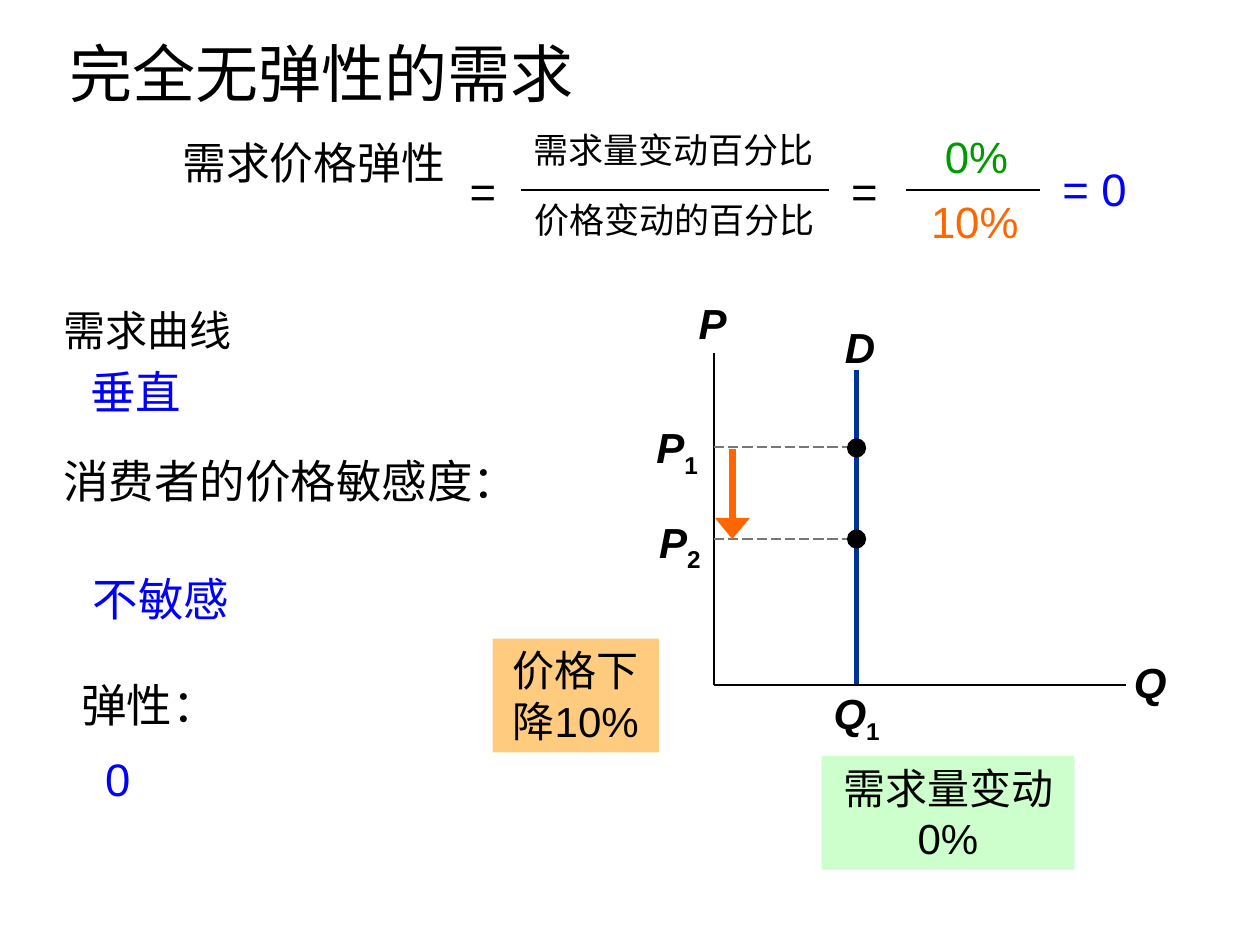
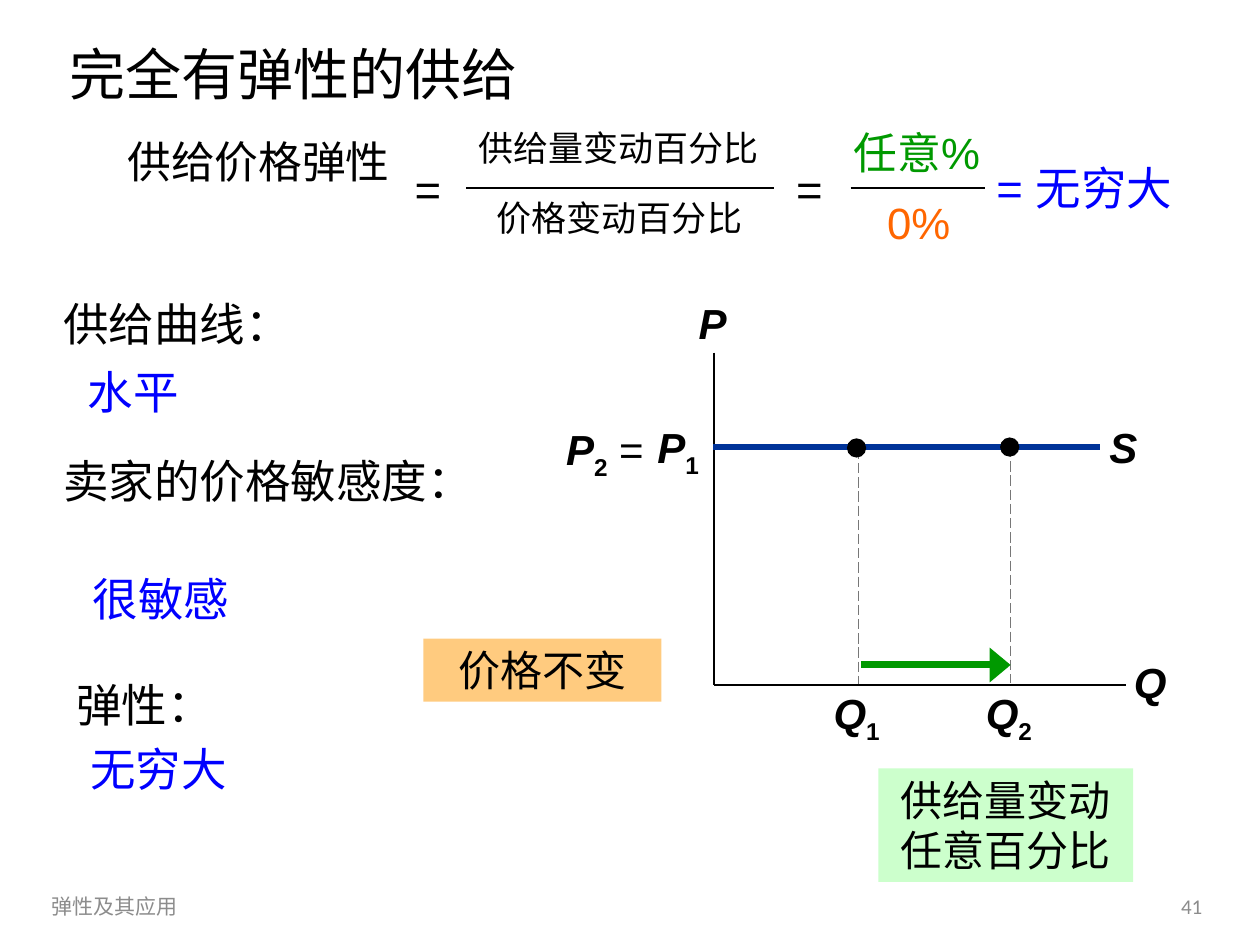
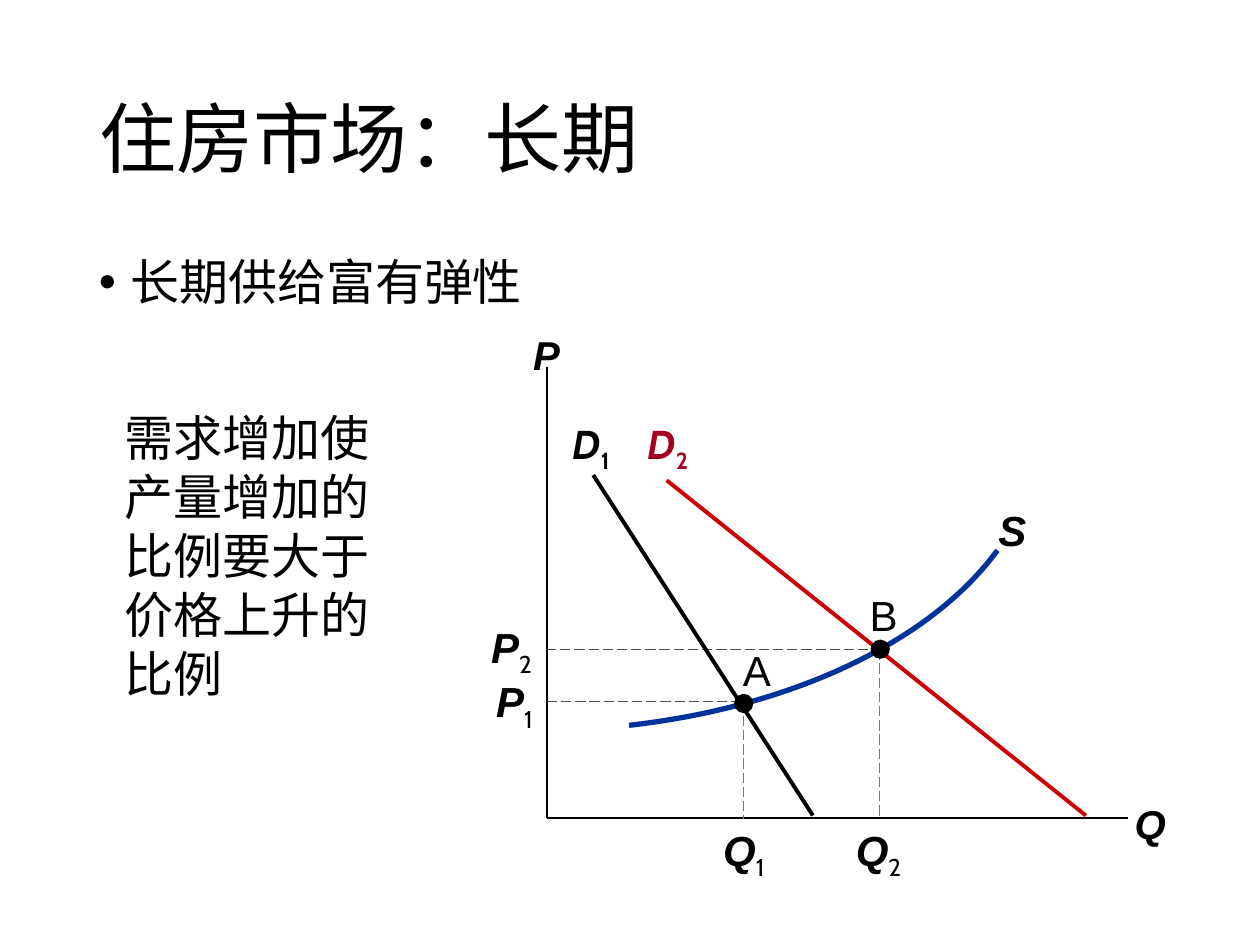
import pptx
import pptx.dml.color
import pptx.enum.dml
import pptx.enum.shapes
import pptx.enum.text
import pptx.oxml.ns
import pptx.util
import lxml.etree

Pt = pptx.util.Pt
LEFT, CENTER, RIGHT = (getattr(pptx.enum.text.PP_ALIGN, name) for name in ("LEFT", "CENTER", "RIGHT"))
MIDDLE = pptx.enum.text.MSO_ANCHOR.MIDDLE


class Theme:
    black, blue, navy = "000000", "0000FF", "003399"
    green, orange, red, crimson = "009900", "FF6600", "CC0000", "A50021"
    grey, dark_grey, footer_grey = "777777", "4D4D4D", "8C8C8C"
    price_box, quantity_box = "FF9900", "CCFFCC"
    footer, fraction, curve, label = 12, 20, 23, 24
    value, text, body = 25, 26, 28
    thin, axis, demand, bold, arrow = 0.75, 1, 2.25, 3, 4
    dot = 11
    # run style: font, bold, italic, baseline
    runs = {
        "plain": ("Arial", False, False, 0),
        "body": ("Calibri", False, False, 0),
        "symbol": ("Arial", True, True, 0),
        "index": ("Arial", True, False, -25000),
        "light index": ("Cabin", False, False, -25000),
        "curve": ("Cabin", True, True, 0),
        "curve index": ("Cabin", True, False, -25000),
    }


def place_text(shape, box, runs, size, color=Theme.black, align=CENTER, spacing=1.0, anchor=None):
    shape.left, shape.top, shape.width, shape.height = (Pt(length) for length in box)
    frame = shape.text_frame
    frame.word_wrap = True
    frame.auto_size = pptx.enum.text.MSO_AUTO_SIZE.NONE
    frame.vertical_anchor = anchor or pptx.enum.text.MSO_ANCHOR.TOP
    paragraph = frame.paragraphs[0]
    paragraph.alignment = align
    paragraph.line_spacing = spacing
    paragraph.space_before = Pt(0)
    for text, style in runs:
        run = paragraph.add_run()
        run.text = text
        font = run.font
        font.name, font.bold, font.italic, baseline = Theme.runs[style]
        font.size = Pt(size)
        font.color.rgb = pptx.dml.color.RGBColor.from_string(color)
        if baseline:
            run._r.get_or_add_rPr().set("baseline", str(baseline))
    return shape


def add_line(slide, start, end, color, width, ending=None):
    line = slide.shapes.add_connector(
        pptx.enum.shapes.MSO_CONNECTOR.STRAIGHT, *(Pt(length) for length in (*start, *end)))
    line.line.color.rgb = pptx.dml.color.RGBColor.from_string(color)
    line.line.width = Pt(width)
    if ending == "dash":
        line.line.dash_style = pptx.enum.dml.MSO_LINE.LONG_DASH
    properties = line._element.spPr
    if ending == "arrow":
        outline = properties.find(pptx.oxml.ns.qn("a:ln"))
        lxml.etree.SubElement(outline, pptx.oxml.ns.qn("a:tailEnd"), type="triangle", w="lg")
    lxml.etree.SubElement(properties, pptx.oxml.ns.qn("a:effectLst"))


presentation = pptx.Presentation()
presentation.slide_width, presentation.slide_height = Pt(720), Pt(540)

# Slides and titles
slides = []
for title, box, size in (
    ("完全无弹性的需求", (32.5, 19.5, 669, 49), 36),
    ("完全有弹性的供给", (32.5, 19.5, 687.5, 49), 32),
    ("住房市场：长期", (49.5, 29, 620.5, 104.5), 44),
):
    slide = presentation.slides.add_slide(presentation.slide_layouts[5])
    place_text(slide.shapes.title, box, [(title, "body")], size, align=LEFT, spacing=0.9, anchor=MIDDLE)
    slides.append(slide)
demand_slide, supply_slide, housing_slide = slides

# Elasticity formula: the left part is the same, shifted on the supply slide
for slide, dx, dy, name, numerator, denominator in (
    (demand_slide, 0, 0, "需求价格弹性", "需求量变动百分比", "价格变动的百分比"),
    (supply_slide, -31.5, -1, "供给价格弹性", "供给量变动百分比", "价格变动百分比"),
):
    for text, (left, top, width, height), size, spacing in (
        (name, (89.5, 76.5, 179.5, 36), Theme.value, 0.95),
        ("=", (258, 89.5, 36, 38), Theme.text, 1.0),
        (numerator, (291, 70, 188, 31), Theme.fraction, 1.0),
        (denominator, (291.5, 110, 188, 31), Theme.fraction, 1.0),
        ("=", (476, 89.5, 36, 38), Theme.text, 1.0),
    ):
        place_text(slide.shapes.add_textbox(0, 0, 0, 0), (left + dx, top + dy, width, height),
                   [(text, "plain")], size, spacing=spacing)
    for start, end in ((298, 474), (517.5, 594.5)):
        add_line(slide, (start + dx, 108.5 + dy), (end + dx, 108.5 + dy), Theme.black, Theme.axis)

# Formula values
for slide, text, box, size, color in (
    (demand_slide, "0%", (512, 70.5, 92, 37.5), Theme.value, Theme.green),
    (demand_slide, "10%", (511, 107.5, 92, 37.5), Theme.value, Theme.orange),
    (demand_slide, "= 0", (598.5, 88.5, 54, 38), Theme.text, Theme.blue),
    (supply_slide, "任意%", (474, 68.5, 100, 37.5), Theme.value, Theme.green),
    (supply_slide, "0%", (479, 108.5, 92, 37.5), Theme.value, Theme.orange),
    (supply_slide, "= 无穷大", (561.5, 88, 116.5, 38), Theme.text, Theme.blue),
):
    place_text(slide.shapes.add_textbox(0, 0, 0, 0), box, [(text, "plain")], size, color)

# Questions in black, answers in blue
for slide, text, box, size, color in (
    (demand_slide, "需求曲线", (29, 169, 117.5, 42), Theme.label, Theme.black),
    (demand_slide, "垂直", (44.5, 203, 228, 42), Theme.text, Theme.blue),
    (demand_slide, "消费者的价格敏感度：", (29, 253.5, 267, 76), Theme.text, Theme.black),
    (demand_slide, "不敏感", (46, 321, 206.5, 39), Theme.text, Theme.blue),
    (demand_slide, "弹性：", (39.5, 381.5, 127.5, 42.5), Theme.text, Theme.black),
    (demand_slide, "0", (53, 424, 145, 42.5), Theme.text, Theme.blue),
    (supply_slide, "供给曲线：", (29, 164, 174, 46), Theme.text, Theme.black),
    (supply_slide, "水平", (43, 203, 228, 42), Theme.text, Theme.blue),
    (supply_slide, "卖家的价格敏感度：", (29, 253.5, 267, 76), Theme.text, Theme.black),
    (supply_slide, "很敏感", (46, 321, 206.5, 39), Theme.text, Theme.blue),
    (supply_slide, "弹性：", (36.5, 381.5, 127.5, 42.5), Theme.text, Theme.black),
    (supply_slide, "无穷大", (44.5, 418.5, 144, 42.5), Theme.text, Theme.blue),
):
    place_text(slide.shapes.add_textbox(0, 0, 0, 0), box, [(text, "plain")], size, color, LEFT, 1.05)

# Price and quantity boxes
for slide, text, box, color, opacity in (
    (demand_slide, "价格下降10%", (281.5, 365, 95, 65), Theme.price_box, 50000),
    (demand_slide, "需求量变动0%", (469.5, 432, 144.5, 65), Theme.quantity_box, 100000),
    (supply_slide, "价格不变", (242, 365, 136, 36), Theme.price_box, 50000),
    (supply_slide, "供给量变动任意百分比", (502, 439, 145.5, 65), Theme.quantity_box, 100000),
):
    shape = place_text(slide.shapes.add_textbox(0, 0, 0, 0), box, [(text, "plain")], Theme.label)
    shape.fill.solid()
    shape.fill.fore_color.rgb = pptx.dml.color.RGBColor.from_string(color)
    if opacity < 100000:
        fill_color = shape._element.spPr.find(".//" + pptx.oxml.ns.qn("a:srgbClr"))
        lxml.etree.SubElement(fill_color, pptx.oxml.ns.qn("a:alpha"), val=str(opacity))

# Supply slide footer
for text, box, align in (
    ("弹性及其应用", (22.5, 503.5, 577.5, 28.5), LEFT),
    ("41", (654, 503.5, 54, 28.5), CENTER),
):
    place_text(supply_slide.shapes.add_textbox(0, 0, 0, 0), box, [(text, "body")],
               Theme.footer, Theme.footer_grey, align, anchor=MIDDLE)

# Housing slide text
bullet = place_text(housing_slide.shapes.add_textbox(0, 0, 0, 0), (49.5, 144, 620.5, 343),
                    [("长期供给富有弹性", "body")], Theme.body, align=LEFT, spacing=0.9)
bullet_properties = bullet.text_frame.paragraphs[0]._p.get_or_add_pPr()
bullet_properties.set("marL", str(Pt(18)))
bullet_properties.set("indent", str(-Pt(18)))
lxml.etree.SubElement(bullet_properties, pptx.oxml.ns.qn("a:buFont"), typeface="Arial")
lxml.etree.SubElement(bullet_properties, pptx.oxml.ns.qn("a:buChar"), char="•")
place_text(housing_slide.shapes.add_textbox(0, 0, 0, 0), (64, 229.5, 156, 177),
           [("需求增加使产量增加的比例要大于价格上升的比例", "body")], Theme.body, align=LEFT)

# Axes
for slide, (x, y), top, right, width in (
    (demand_slide, (408, 391.5), 201.5, 643.5, Theme.axis),
    (supply_slide, (408, 391.5), 201.5, 643.5, Theme.axis),
    (housing_slide, (312.5, 467.5), 209.5, 644.5, Theme.thin),
):
    add_line(slide, (x, top), (x, y), Theme.black, width)
    add_line(slide, (x, y), (right, y), Theme.black, width)

# Guides
for slide, start, end, color in (
    (demand_slide, (490.5, 256.5), (490.5, 391), Theme.grey),
    (demand_slide, (408, 255.5), (491, 255.5), Theme.grey),
    (demand_slide, (408, 308), (489, 308), Theme.grey),
    (supply_slide, (490.5, 256.5), (490.5, 391), Theme.grey),
    (supply_slide, (577.5, 255.5), (577.5, 390.5), Theme.grey),
    (housing_slide, (312.5, 401), (425, 401), Theme.dark_grey),
    (housing_slide, (425, 401), (425, 468), Theme.grey),
    (housing_slide, (312, 371), (502.5, 371), Theme.dark_grey),
    (housing_slide, (502.5, 371), (502.5, 467.5), Theme.grey),
):
    add_line(slide, start, end, color, Theme.thin, "dash")

# Straight curves and arrows of change
for slide, start, end, color, width, ending in (
    (demand_slide, (489.5, 211.5), (489.5, 391), Theme.navy, Theme.bold, None),
    (demand_slide, (418.5, 256.5), (418.5, 308), Theme.orange, Theme.arrow, "arrow"),
    (supply_slide, (407.5, 255.5), (628.5, 255.5), Theme.navy, Theme.bold, None),
    (supply_slide, (492, 380), (577.5, 380), Theme.green, Theme.arrow, "arrow"),
    (housing_slide, (339, 271.5), (464.5, 466), Theme.black, Theme.demand, None),
    (housing_slide, (381, 274.5), (620.5, 466), Theme.red, Theme.demand, None),
):
    add_line(slide, start, end, color, width, ending)

# Long-run supply curve: points along a cubic curve
controls = ((359.5, 414.5), (453, 404), (532, 366.5), (570, 314.5))
steps = 40
curve_points = []
for step in range(steps + 1):
    t = step / steps
    weights = ((1 - t) ** 3, 3 * t * (1 - t) ** 2, 3 * t ** 2 * (1 - t), t ** 3)
    curve_points.append(tuple(
        Pt(sum(weight * control[axis] for weight, control in zip(weights, controls)))
        for axis in (0, 1)))
builder = housing_slide.shapes.build_freeform(*curve_points[0])
builder.add_line_segments(curve_points[1:], close=False)
supply_curve = builder.convert_to_shape()
supply_curve.shadow.inherit = False
supply_curve.fill.background()
supply_curve.line.color.rgb = pptx.dml.color.RGBColor.from_string(Theme.navy)
supply_curve.line.width = Pt(Theme.bold)

# Equilibrium dots
for slide, x, y in (
    (demand_slide, 489.5, 256), (demand_slide, 489.5, 308),
    (supply_slide, 489.5, 256), (supply_slide, 577, 255.5),
    (housing_slide, 425, 402), (housing_slide, 503, 371),
):
    dot = slide.shapes.add_shape(
        pptx.enum.shapes.MSO_SHAPE.OVAL, Pt(x - Theme.dot / 2), Pt(y - Theme.dot / 2),
        Pt(Theme.dot), Pt(Theme.dot))
    dot.shadow.inherit = False
    dot.fill.solid()
    dot.fill.fore_color.rgb = pptx.dml.color.RGBColor.from_string(Theme.black)
    dot.line.fill.background()

# Diagram labels
p, q, s = (("P", "symbol"), ("Q", "symbol"), ("S", "symbol"))
one, two = ("1", "index"), ("2", "index")
light_one, light_two = ("1", "light index"), ("2", "light index")
for slide, runs, box, size, color, align in (
    (demand_slide, [p], (380, 166.5, 54.5, 36), Theme.label, Theme.black, CENTER),
    (demand_slide, [q], (630, 371.5, 54.5, 36), Theme.label, Theme.black, CENTER),
    (demand_slide, [("D", "symbol")], (467.5, 180, 48, 36), Theme.label, Theme.black, CENTER),
    (demand_slide, [q, one], (466.5, 389.5, 46, 36), Theme.label, Theme.black, CENTER),
    (demand_slide, [p, one], (359.5, 237.5, 46.5, 36), Theme.label, Theme.black, RIGHT),
    (demand_slide, [p, two], (359.5, 291.5, 48, 36), Theme.label, Theme.black, RIGHT),
    (supply_slide, [p], (380, 166.5, 54.5, 36), Theme.label, Theme.black, CENTER),
    (supply_slide, [q], (630, 371.5, 54.5, 36), Theme.label, Theme.black, CENTER),
    (supply_slide, [s], (618.5, 237.5, 47, 36), Theme.label, Theme.black, CENTER),
    (supply_slide, [q, one], (466.5, 389.5, 46, 36), Theme.label, Theme.black, CENTER),
    (supply_slide, [q, two], (553.5, 389.5, 46, 36), Theme.label, Theme.black, CENTER),
    (supply_slide, [p, one], (355.5, 237.5, 51, 36), Theme.label, Theme.black, RIGHT),
    (supply_slide, [p, two, (" =", "plain")], (311, 238.5, 64, 36), Theme.label, Theme.black, RIGHT),
    (housing_slide, [p], (296, 185, 32.5, 34.5), Theme.curve, Theme.black, CENTER),
    (housing_slide, [q], (641, 453, 32.5, 34.5), Theme.curve, Theme.black, CENTER),
    (housing_slide, [("D", "curve"), ("1", "curve index")], (314, 236, 47.5, 34.5),
     Theme.curve, Theme.black, CENTER),
    (housing_slide, [("D", "curve"), ("2", "curve index")], (358, 236, 47.5, 34.5),
     Theme.curve, Theme.crimson, CENTER),
    (housing_slide, [s], (554.5, 285, 48, 36), Theme.label, Theme.black, CENTER),
    (housing_slide, [q, light_one], (402, 467.5, 46, 36), Theme.label, Theme.black, CENTER),
    (housing_slide, [q, light_two], (479, 467.5, 46, 36), Theme.label, Theme.black, CENTER),
    (housing_slide, [p, light_one], (263.5, 382.5, 48, 36), Theme.label, Theme.black, RIGHT),
    (housing_slide, [p, light_two], (263, 351.5, 48, 36), Theme.label, Theme.black, RIGHT),
    (housing_slide, [("A", "plain")], (417, 364.5, 31, 36), Theme.label, Theme.black, CENTER),
    (housing_slide, [("B", "plain")], (489.5, 333.5, 31, 36), Theme.label, Theme.black, CENTER),
):
    place_text(slide.shapes.add_textbox(0, 0, 0, 0), box, runs, size, color, align)

presentation.save("out.pptx")
